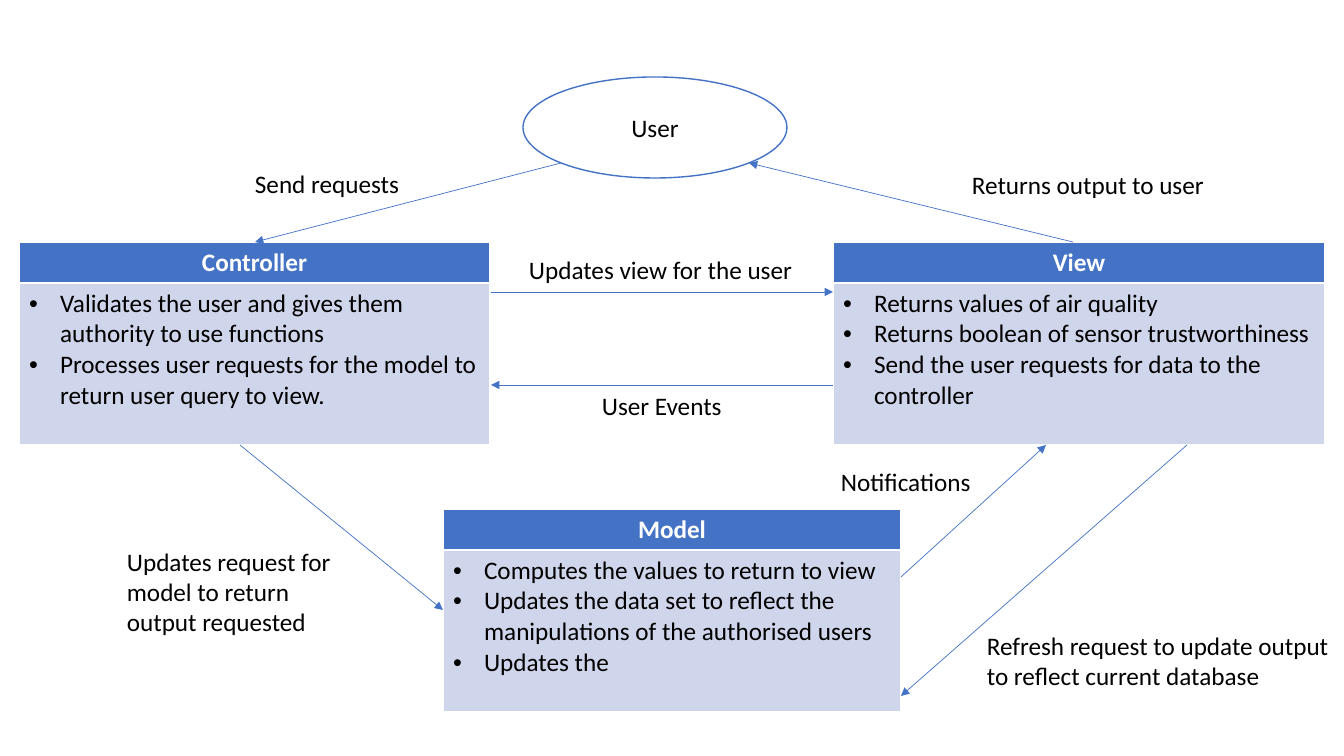
from dataclasses import dataclass

from lxml import etree
from pptx import Presentation
from pptx import util as u
from pptx.dml import color
from pptx.enum import shapes, text
from pptx.oxml import ns

SCALE = 914400 / 100.8  # EMU in one pixel
BLUE, PALE, WHITE, BLACK = "4472C4", "CFD5EA", "FFFFFF", "000000"
FONT = {"name": "Calibri", "size": u.Pt(18), "bold": False}
HEADER_HEIGHT, BODY_HEIGHT = 41, 162
BULLET_INDENT = 31


@dataclass
class Component:
    name: str
    left: int
    top: int
    width: int
    duties: list[str]


@dataclass
class Arrow:
    start: tuple[int, int]
    end: tuple[int, int]


@dataclass
class Label:
    wording: str
    left: int
    top: int
    width: int
    height: int = 40


def px(*lengths: int) -> list[int]:
    return [u.Emu(round(length * SCALE)) for length in lengths]


def paint(target, hex_color: str) -> None:
    """Give a fill or a line one solid colour."""
    target.solid()
    target.fore_color.rgb = color.RGBColor.from_string(hex_color)


def apply(target, formats: dict) -> None:
    for name, value in formats.items():
        setattr(target, name, value)


def write(para, wording: str, hex_color: str = BLACK, **formats) -> None:
    span = para.add_run()
    span.text = wording
    apply(span.font, FONT | formats)
    paint(span.font.fill, hex_color)


def add_bullet(para) -> None:
    properties = para._p.get_or_add_pPr()
    indent = px(BULLET_INDENT)[0]
    properties.set("marL", str(indent))
    properties.set("indent", str(-indent))
    etree.SubElement(properties, ns.qn("a:buFont"), typeface="Arial")
    etree.SubElement(properties, ns.qn("a:buChar"), char="•")


def draw_component(page, component: Component) -> None:
    frame = page.shapes.add_table(2, 1, *px(
        component.left, component.top, component.width, HEADER_HEIGHT + BODY_HEIGHT))
    table = frame.table
    for row, height, fill in zip(table.rows, (HEADER_HEIGHT, BODY_HEIGHT), (BLUE, PALE)):
        row.height = px(height)[0]
        paint(row.cells[0].fill, fill)
    header, body = table.cell(0, 0).text_frame, table.cell(1, 0).text_frame
    header.paragraphs[0].alignment = text.PP_ALIGN.CENTER
    write(header.paragraphs[0], component.name, WHITE, bold=True)
    for index, duty in enumerate(component.duties):
        para = body.add_paragraph() if index else body.paragraphs[0]
        add_bullet(para)
        write(para, duty)


def draw_arrow(page, arrow: Arrow) -> None:
    connector = page.shapes.add_connector(
        shapes.MSO_CONNECTOR.STRAIGHT, *px(*arrow.start, *arrow.end))
    paint(connector.line.fill, BLUE)
    connector.line.width = u.Pt(0.5)
    outline = connector.line._get_or_add_ln()
    etree.SubElement(outline, ns.qn("a:tailEnd"), type="triangle")
    etree.SubElement(connector._element.spPr, ns.qn("a:effectLst"))


def draw_label(page, label: Label) -> None:
    box = page.shapes.add_textbox(*px(label.left, label.top, label.width, label.height))
    apply(box.text_frame, {
        "word_wrap": True, "auto_size": text.MSO_AUTO_SIZE.SHAPE_TO_FIT_TEXT})
    write(box.text_frame.paragraphs[0], label.wording)


def draw_user(page) -> None:
    user = page.shapes.add_shape(shapes.MSO_SHAPE.OVAL, *px(523, 77, 264, 101))
    user.shadow.inherit = False
    paint(user.fill, WHITE)
    paint(user.line.fill, BLUE)
    user.line.width = u.Pt(1)
    user.text_frame.vertical_anchor = text.MSO_ANCHOR.MIDDLE
    para = user.text_frame.paragraphs[0]
    para.alignment = text.PP_ALIGN.CENTER
    write(para, "User")


COMPONENTS = [
    Component("Controller", 19, 242, 471, [
        "Validates the user and gives them authority to use functions",
        "Processes user requests for the model to return user query to view."]),
    Component("Model", 443, 509, 458, [
        "Computes the values to return to view",
        "Updates the data set to reflect the manipulations of the authorised users",
        "Updates the"]),
    Component("View", 833, 242, 492, [
        "Returns values of air quality",
        "Returns boolean of sensor trustworthiness",
        "Send the user requests for data to the controller"]),
]
ARROWS = [
    Arrow((561, 163), (255, 242)),    # user to controller
    Arrow((1073, 242), (749, 163)),   # view to user
    Arrow((491, 292), (833, 292)),    # controller to view
    Arrow((833, 385), (491, 385)),    # view to controller
    Arrow((901, 577), (1046, 445)),   # model to view
    Arrow((1187, 445), (901, 696)),   # view to model
    Arrow((240, 445), (443, 610)),    # controller to model
]
LABELS = [
    Label("Returns output to user", 962, 164, 277),
    Label("Send requests", 245, 163, 281),
    Label("Updates request for model to return output requested", 117, 541, 250, 102),
    Label("Refresh request to update output to reflect current database", 977, 625, 367, 72),
    Label("User Events", 592, 385, 197),
    Label("Updates view for the user", 519, 249, 306),
    Label("Notifications", 831, 461, 158),
]

# Deck and blank page
deck = Presentation()
deck.slide_width, deck.slide_height = px(1344, 756)
page = deck.slides.add_slide(deck.slide_layouts[6])

# User, components, then the messages between them
draw_user(page)
for component in COMPONENTS:
    draw_component(page, component)
for arrow in ARROWS:
    draw_arrow(page, arrow)
for label in LABELS:
    draw_label(page, label)

deck.save("out.pptx")
